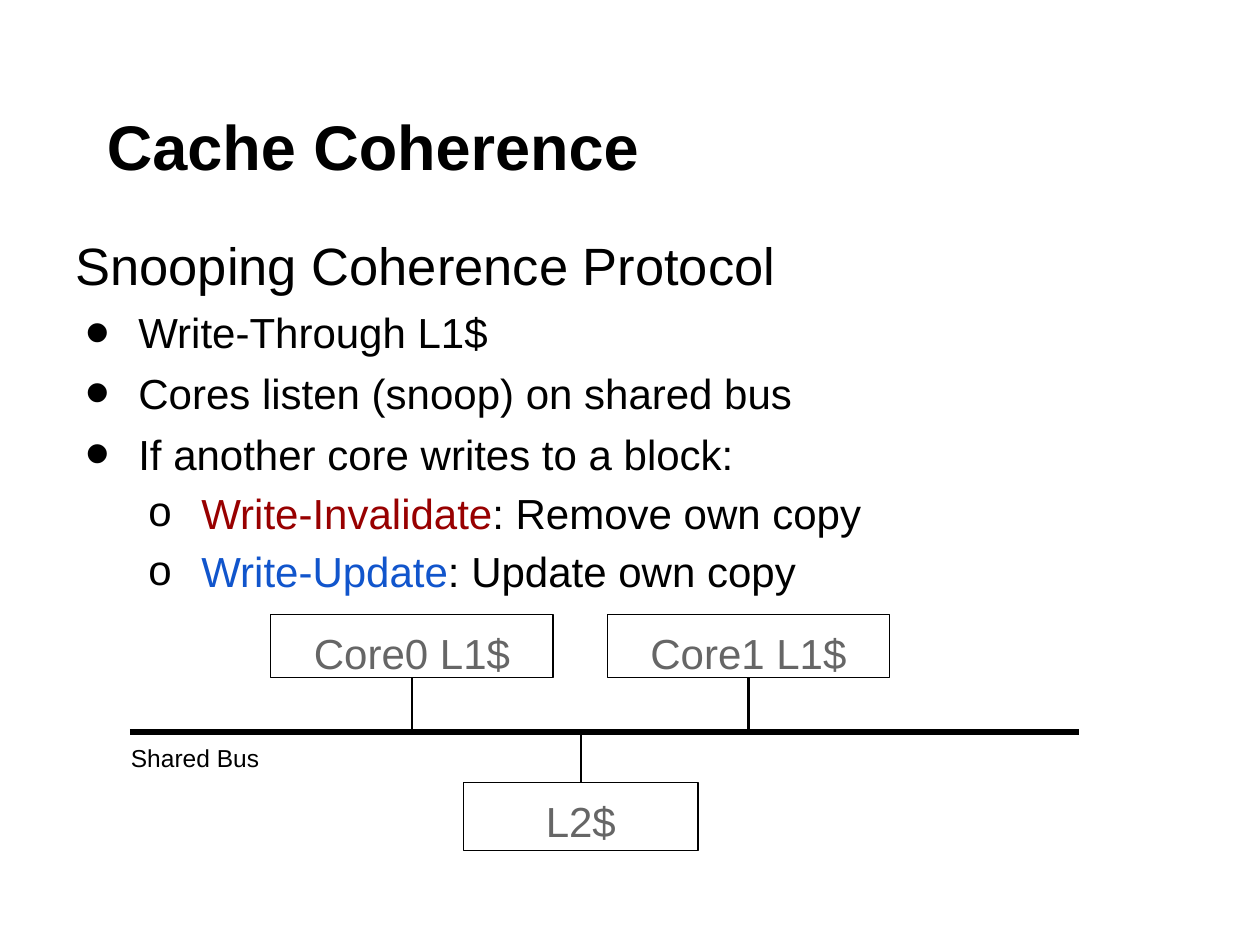
"""Build the Cache Coherence slide with its snooping bus diagram."""
from lxml.etree import SubElement
from pptx import Presentation
from pptx.dml.color import RGBColor
from pptx.enum.shapes import MSO_CONNECTOR as LINE, MSO_SHAPE as SHAPE
from pptx.enum.text import MSO_ANCHOR as ANCHOR, PP_ALIGN as ALIGN
from pptx.oxml.ns import qn
from pptx.util import Inches, Pt

THEME = {
    "font": "Arial",
    "black": "000000", "gray": "666666", "red": "980000", "blue": "1155CC",
    "title": 36, "heading": 30, "body": 24, "label": 14,
}

deck = Presentation()
deck.slide_width, deck.slide_height = Inches(10), Inches(7.5)
page = deck.slides.add_slide(deck.slide_layouts[6])


def set_frame(shape, anchor=ANCHOR.TOP):
    frame = shape.text_frame
    frame.word_wrap = True
    frame.vertical_anchor = anchor
    frame.margin_left = frame.margin_right = Inches(0.1)
    frame.margin_top = frame.margin_bottom = Inches(0.1)
    return frame


def add_span(para, text, size, color="black", bold=False):
    span = para.add_run()
    span.text = text
    span.font.name = THEME["font"]
    span.font.size = Pt(THEME[size])
    span.font.bold = bold
    span.font.color.rgb = RGBColor.from_string(THEME[color])


title = page.shapes.add_textbox(Inches(0.5), Inches(0.3), Inches(9), Inches(1.25))
para = set_frame(title, ANCHOR.BOTTOM).paragraphs[0]
para._p.get_or_add_pPr().set("indent", str(Inches(0.25)))
add_span(para, "Cache Coherence", "title", bold=True)

body = page.shapes.add_textbox(Inches(0.5), Inches(1.75), Inches(9), Inches(3.03))
frame = set_frame(body)
para = frame.paragraphs[0]
para.space_before = Pt(6)
add_span(para, "Snooping Coherence Protocol", "heading")

bullet_styles = [
    {"margin": 0.5, "before": 6, "char": "•", "percent": 167},
    {"margin": 1, "before": 4.8, "char": "o", "percent": 100},
]
bullets = [
    (0, [("Write-Through L1$", "black")]),
    (0, [("Cores listen (snoop) on shared bus", "black")]),
    (0, [("If another core writes to a block:", "black")]),
    (1, [("Write-Invalidate", "red"), (": Remove own copy", "black")]),
    (1, [("Write-Update", "blue"), (": Update own copy", "black")]),
]
for level, spans in bullets:
    style = bullet_styles[level]
    para = frame.add_paragraph()
    para.level = level
    para.space_before = Pt(style["before"])
    props = para._p.get_or_add_pPr()
    props.set("marL", str(Inches(style["margin"])))
    props.set("indent", str(Inches(-0.42)))
    bullet_color = SubElement(props, qn("a:buClr"))
    SubElement(bullet_color, qn("a:srgbClr"), val=THEME["black"])
    SubElement(props, qn("a:buSzPct"), val=str(style["percent"] * 1000))
    SubElement(props, qn("a:buFont"), typeface=THEME["font"])
    SubElement(props, qn("a:buChar"), char=style["char"])
    for text, color in spans:
        add_span(para, text, "body", color)

bus_y = 5.81
wires = [(1.03, bus_y, 8.56, bus_y, 3)]
caches = [
    ("Core0 L1$", 2.15, 4.88, 2.24, 0.5),
    ("Core1 L1$", 4.82, 4.88, 2.24, 0.5),
    ("L2$", 3.68, 6.21, 1.86, 0.54),
]
for name, left, top, width, height in caches:
    box = page.shapes.add_shape(
        SHAPE.RECTANGLE, Inches(left), Inches(top), Inches(width), Inches(height))
    box.shadow.inherit = False
    box.fill.background()
    box.line.color.rgb = RGBColor.from_string(THEME["black"])
    box.line.width = Pt(0.75)
    para = set_frame(box).paragraphs[0]
    para.alignment = ALIGN.CENTER
    add_span(para, name, "body", "gray")
    center = left + width / 2
    edge = top + height if top < bus_y else top
    wires.append((center, edge, center, bus_y, 1.5))

for x1, y1, x2, y2, weight in wires:
    wire = page.shapes.add_connector(
        LINE.STRAIGHT, Inches(x1), Inches(y1), Inches(x2), Inches(y2))
    wire.line.color.rgb = RGBColor.from_string(THEME["black"])
    wire.line.width = Pt(weight)
    SubElement(wire._element.spPr, qn("a:effectLst"))

label = page.shapes.add_textbox(Inches(0.94), Inches(5.8), Inches(1.58), Inches(0.5))
add_span(set_frame(label).paragraphs[0], "Shared Bus", "label")

deck.save("out.pptx")
